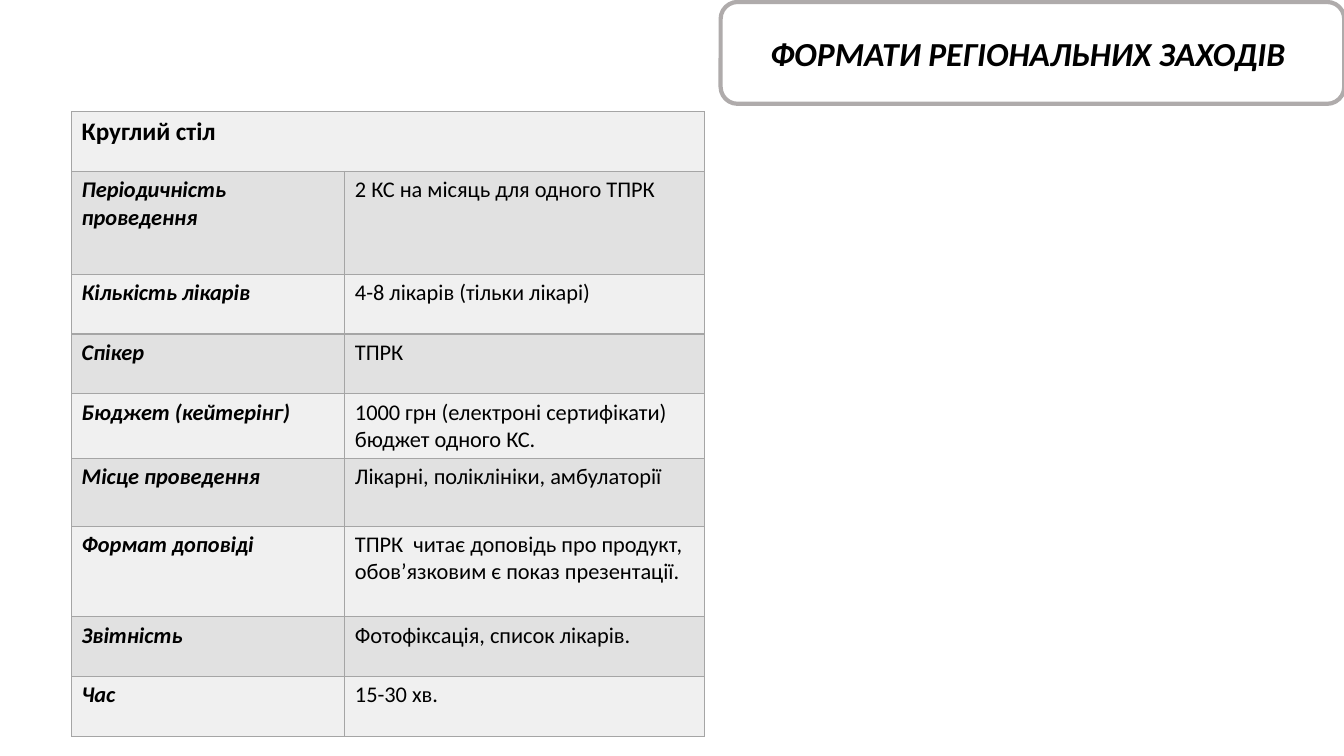
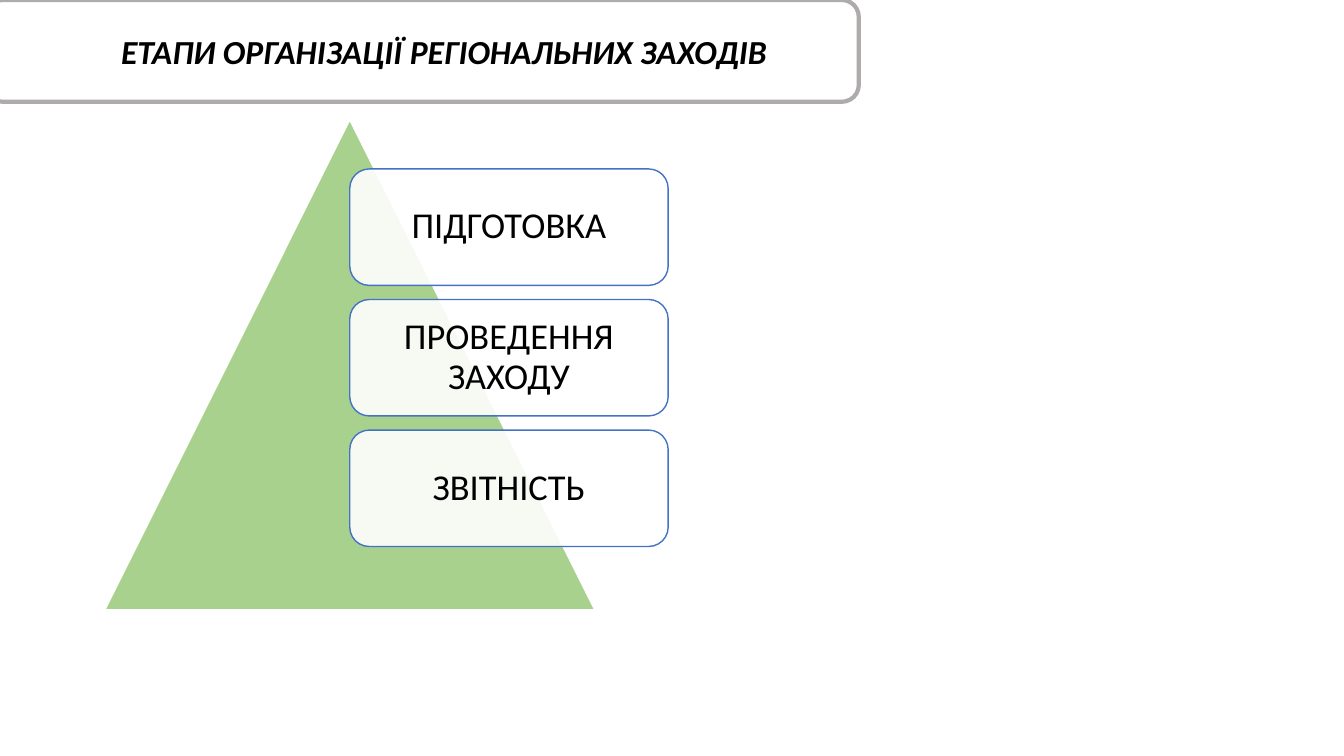
from lxml import etree
from pptx import Presentation, util as u
from pptx.dml.color import RGBColor
from pptx.enum import shapes, text
from pptx.oxml.ns import qn

WIDE, HIGH = 13.33, 7.5
FONT = "Calibri"
BLACK, WHITE = "000000", "FFFFFF"
FRAME, GRID = "AFABAB", "A5A5A5"
LIGHT, DARK = "F0F0F0", "E1E1E1"
GREEN, BLUE = "A9D18E", "4472C4"
KIND = shapes.MSO_SHAPE

TOPIC = "Круглий стіл"
FACTS = [  # label, value, row height
    ("Періодичність проведення", "2 КС на місяць для одного ТПРК", 13.6),
    ("Кількість лікарів", "4-8 лікарів (тільки лікарі)", 7.9),
    ("Спікер", "ТПРК", 7.9),
    ("Бюджет (кейтерінг)",
     "1000 грн (електроні сертифікати) бюджет одного КС.", 8.4),
    ("Місце проведення", "Лікарні, поліклініки, амбулаторії", 8.93),
    ("Формат доповіді",
     "ТПРК  читає доповідь про продукт, обов’язковим є показ презентації.", 12),
    ("Звітність", "Фотофіксація, список лікарів.", 7.9),
    ("Час", "15-30 хв.", 7.9),
]
STEPS = ["ПІДГОТОВКА", "ПРОВЕДЕННЯ ЗАХОДУ", "ЗВІТНІСТЬ"]


def across(share):
    """Length for a percentage of the slide's width."""
    return u.Inches(WIDE * share / 100)


def down(share):
    """Length for a percentage of the slide's height."""
    return u.Inches(HIGH * share / 100)


def area(x, y, w, h):
    return across(x), down(y), across(w), down(h)


def paint(fill, shade, alpha=None):
    fill.solid()
    fill.fore_color.rgb = RGBColor.from_string(shade)
    if alpha is not None:
        node = fill._xPr.find(qn("a:solidFill"))[0]
        etree.SubElement(node, qn("a:alpha"), val=str(alpha * 1000))


def write(frame, words, size=16, bold=False, italic=False, align=None,
          space=None):
    frame.word_wrap = True
    para = frame.paragraphs[0]
    para.alignment = align
    para.line_spacing = space
    run = para.add_run()
    run.text = words
    font = run.font
    font.name, font.size = FONT, u.Pt(size)
    font.bold, font.italic = bold, italic
    paint(font.fill, BLACK)


def draw(slide, kind, box, fill, line, width=1, alpha=None):
    shape = slide.shapes.add_shape(kind, *area(*box))
    shape.shadow.inherit = False
    paint(shape.fill, fill, alpha)
    paint(shape.line.fill, line)
    shape.line.width = u.Pt(width)
    return shape


def label(shape, words, left=0.1, right=0.1, **style):
    frame = shape.text_frame
    frame.margin_left, frame.margin_right = u.Inches(left), u.Inches(right)
    frame.vertical_anchor = text.MSO_ANCHOR.MIDDLE
    write(frame, words, align=text.PP_ALIGN.CENTER, **style)


def title(slide, words, box, **inset):
    shape = draw(slide, KIND.FLOWCHART_ALTERNATE_PROCESS, box, WHITE, FRAME, 3)
    label(shape, words, size=24, bold=True, italic=True, **inset)


def border(cell):
    props = cell._tc.get_or_add_tcPr()
    for place, side in enumerate(("lnL", "lnR", "lnT", "lnB")):
        line = etree.Element(qn("a:" + side), w=str(u.Pt(1)))
        fill = etree.SubElement(line, qn("a:solidFill"))
        etree.SubElement(fill, qn("a:srgbClr"), val=GRID)
        props.insert(place, line)


def table(slide, x, y, cols, head, facts):
    tall = [7.9] + [fact[2] for fact in facts]
    box = area(x, y, sum(cols), sum(tall))
    grid = slide.shapes.add_table(len(tall), len(cols), *box).table
    for col, share in zip(grid.columns, cols):
        col.width = across(share)
    for row, (line, share) in enumerate(zip(grid.rows, tall)):
        line.height = down(share)
        for cell in line.cells:
            paint(cell.fill, DARK if row % 2 else LIGHT)
            border(cell)
    grid.cell(0, 0).merge(grid.cell(0, len(cols) - 1))
    write(grid.cell(0, 0).text_frame, head, size=18, bold=True)
    for row, (name, value, _) in enumerate(facts, 1):
        write(grid.cell(row, 0).text_frame, name, bold=True, italic=True)
        write(grid.cell(row, 1).text_frame, value)


def pyramid(slide, x, y, w, h, steps):
    """Triangle with a column of boxes that starts on its axis."""
    draw(slide, KIND.ISOSCELES_TRIANGLE, (x, y, w, h), GREEN, WHITE)
    wide, tall, pitch = 0.65 * w, 15.4, 17.27
    for row, words in enumerate(steps):
        box = (x + w / 2, y + h / 10 + row * pitch, wide, tall)
        shape = draw(slide, KIND.ROUNDED_RECTANGLE, box, WHITE, BLUE, alpha=90)
        label(shape, words, left=0.17, right=0.17, size=26, space=0.9)


def main():
    deck = Presentation()
    deck.slide_width, deck.slide_height = u.Inches(WIDE), u.Inches(HIGH)
    first, second = (deck.slides.add_slide(deck.slide_layouts[6])
                     for _ in range(2))
    title(first, "ФОРМАТИ РЕГІОНАЛЬНИХ ЗАХОДІВ", (53.62, 0.27, 46.4, 13.47),
          right=0.19)
    table(first, 5.33, 14.8, (20.33, 26.78), TOPIC, FACTS)
    title(second, "ЕТАПИ ОРГАНІЗАЦІЇ РЕГІОНАЛЬНИХ ЗАХОДІВ",
          (-1.05, 0, 64.95, 13.47), left=0.53)
    pyramid(second, 7.8, 15.87, 36.45, 64.8, STEPS)
    deck.save("out.pptx")


if __name__ == "__main__":
    main()
